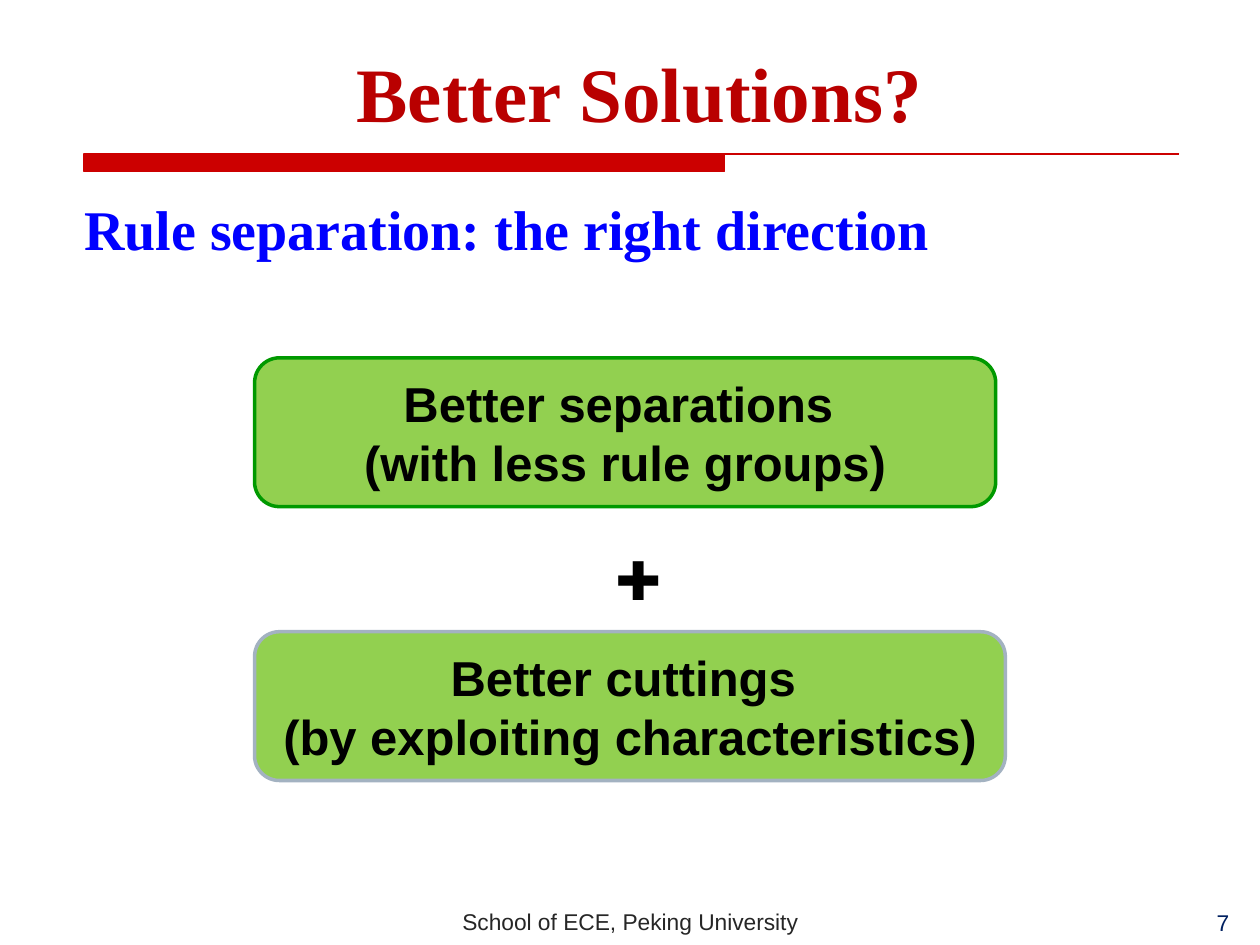
from pptx import Presentation
from pptx.dml.color import RGBColor
from pptx.enum.shapes import MSO_SHAPE
from pptx.enum.text import MSO_ANCHOR as Anchor, PP_ALIGN as Align
from pptx.util import Pt

COLORS = {
    "rule": "CC0000", "title": "B90000", "heading": "0000FF", "footer": "262626",
    "number": "002060", "black": "000000", "box": "92D050",
    "green edge": "009900", "gray edge": "A3B2C1",
}

# text, (left, top, width, height), font, size, bold, color, alignment, anchor
TEXTS = [
    ("School of ECE, Peking University", (54, 516, 612, 21),
     "Arial", 13, False, "footer", Align.CENTER, Anchor.MIDDLE),
    ("7", (541.5, 514, 168, 26),
     "Arial", 13, False, "number", Align.RIGHT, Anchor.MIDDLE),
    (" Better Solutions?", (36, 21.5, 648, 61),
     "Times New Roman", 44, True, "title", Align.CENTER, Anchor.BOTTOM),
    ("Rule separation: the right direction", (41, 112, 620, 52),
     "Times New Roman", 32, True, "heading", Align.LEFT, Anchor.TOP),
    ("+", (343.5, 297.5, 41, 65),
     "Montserrat", 48, True, "black", Align.LEFT, Anchor.TOP),
]

# text, top, width, edge color
IDEAS = [
    ("Better separations \v(with less rule groups)", 204.5, 423.5, "green edge"),
    ("Better cuttings \v(by exploiting characteristics)", 361, 429, "gray edge"),
]
IDEA_LEFT, IDEA_HEIGHT = 145.5, 85

RULE_LEFT, RULE_TOP, RULE_RIGHT = 48, 88.5, 674.5
BAR_RIGHT, BAR_BOTTOM = 414.5, 97.5


def color(name):
    return RGBColor.from_string(COLORS[name])


def paint(shape, fill, edge, width):
    shape.shadow.inherit = False
    shape.fill.solid()
    shape.fill.fore_color.rgb = color(fill)
    shape.line.color.rgb = color(edge)
    shape.line.width = Pt(width)


def write(shape, text, font_name, size, bold, font_color, align, anchor):
    frame = shape.text_frame
    frame.word_wrap = True
    frame.vertical_anchor = anchor
    paragraph = frame.paragraphs[0]
    paragraph.text = text
    paragraph.alignment = align
    font = paragraph.font
    font.name, font.size, font.bold = font_name, Pt(size), bold
    font.color.rgb = color(font_color)
    return paragraph


prs = Presentation()
prs.slide_width, prs.slide_height = Pt(720), Pt(540)
slide = prs.slides.add_slide(prs.slide_layouts[6])
shapes = slide.shapes

# Title rule: thick bar followed by a thin line
builder = shapes.build_freeform(RULE_LEFT, RULE_TOP, scale=Pt(1))
builder.add_line_segments(
    [(BAR_RIGHT, RULE_TOP), (BAR_RIGHT, BAR_BOTTOM), (RULE_LEFT, BAR_BOTTOM)], close=True)
builder.move_to(RULE_LEFT, RULE_TOP)
builder.add_line_segments([(RULE_RIGHT, RULE_TOP)], close=False)
paint(builder.convert_to_shape(), "rule", "rule", 0.75)

# Title, heading, plus sign and footer
for text, place, *style in TEXTS:
    paragraph = write(shapes.add_textbox(*map(Pt, place)), text, *style)
    if style[3] == "heading":
        paragraph.line_spacing = 0.9

# The two ideas
for text, top, width, edge in IDEAS:
    idea = shapes.add_shape(MSO_SHAPE.ROUNDED_RECTANGLE, Pt(IDEA_LEFT), Pt(top),
                            Pt(width), Pt(IDEA_HEIGHT))
    paint(idea, "box", edge, 2)
    write(idea, text, "Arial", 28, True, "black", Align.CENTER, Anchor.MIDDLE)

prs.save("out.pptx")
